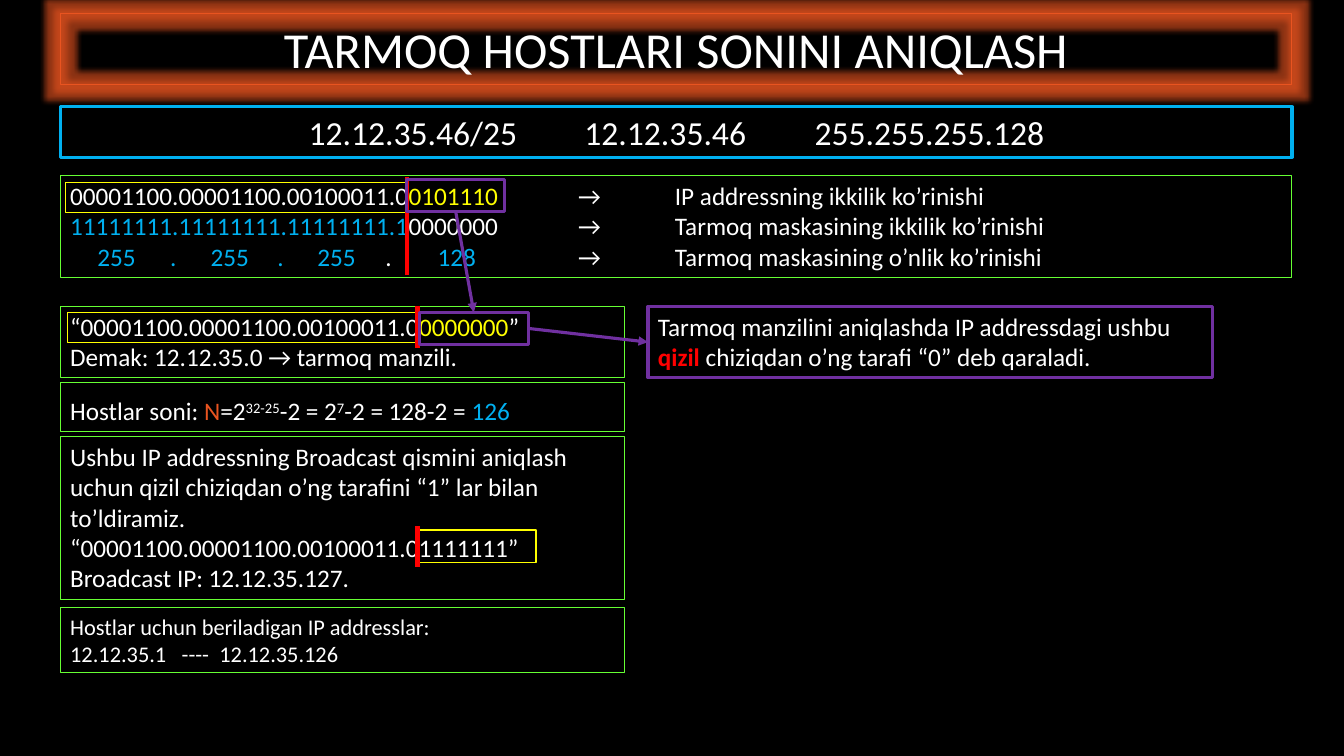
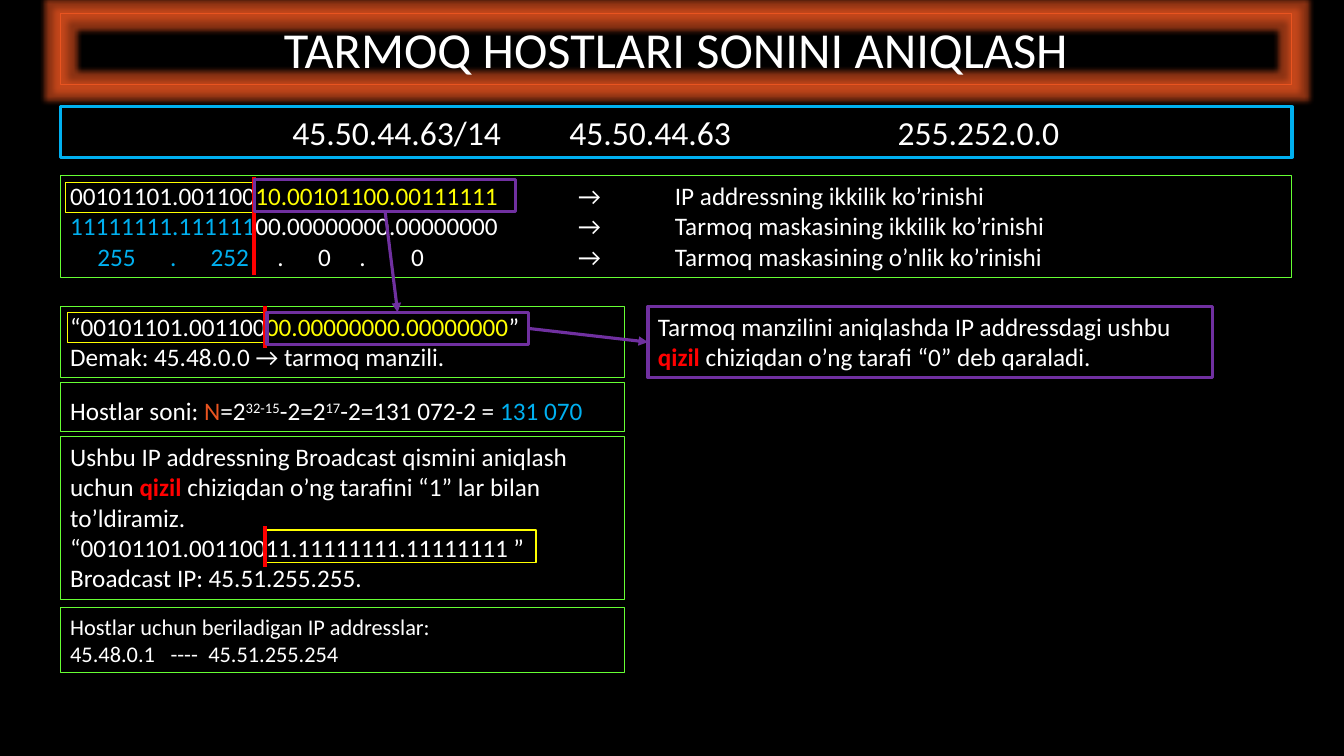
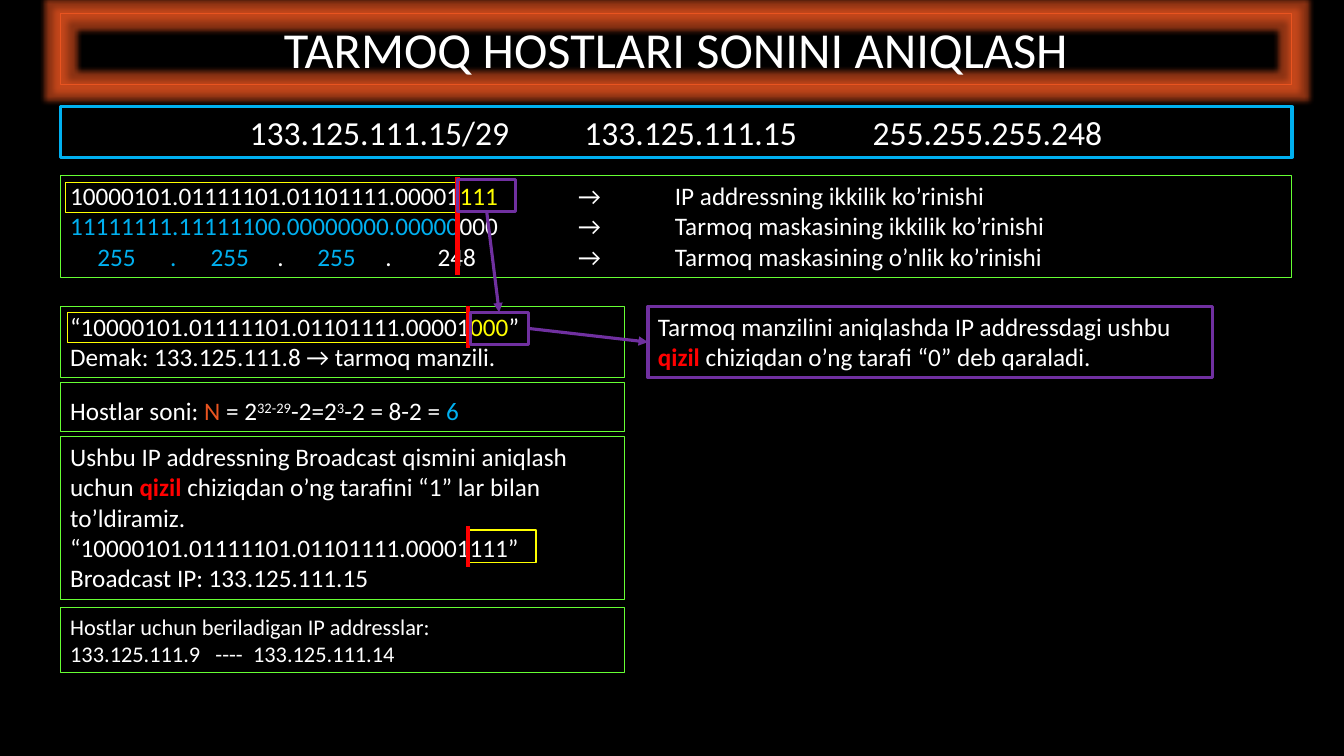
from dataclasses import dataclass

from lxml.etree import SubElement
from pptx import Presentation
from pptx.dml.color import RGBColor
from pptx.enum.shapes import MSO_CONNECTOR as Connector, MSO_SHAPE as Shape
from pptx.enum.text import MSO_AUTO_SIZE as AutoSize, PP_ALIGN as Align
from pptx.oxml.ns import qn
from pptx.util import Cm, Pt

COLORS = {
    "black": "000000",
    "white": "FFFFFF",
    "yellow": "FFFF00",
    "blue": "00B0F0",
    "orange": "E95420",
    "green": "66FF33",
    "red": "FF0000",
    "purple": "7030A0",
}
FONT = "Calibri"
LEFT, FULL_WIDTH, HALF_WIDTH = 1.52, 31.04, 14.22
INSET, DIGIT, DOT, QUOTE = 0.25, 0.32, 0.16, 0.27
ARROW_TAB, LABEL_TAB = 12.8, 15.24
TITLE = "TARMOQ HOSTLARI SONINI ANIQLASH"


@dataclass
class Example:
    """One subnet; "|" in the bits divides the network part from the host part."""
    addresses: list
    address_tabs: list
    ip_bits: str
    mask_bits: str
    mask_octets: list
    octet_tabs: list
    host_box_end: float
    network: str
    host_formula: list
    red_word: str
    broadcast_end: str
    broadcast: str
    first_host: str
    last_host: str
    range_tab: float


WIDE_OCTETS = [1.17, 2.6, 4.02, 5.3, 6.71, 8.02, 9.74]
EXAMPLES = [
    Example(
        ["12.12.35.46/25", "12.12.35.46", "255.255.255.128"], [6.01, 12.96, 18.76],
        "00001100.00001100.00100011.0|0101110",
        "11111111.11111111.11111111.1|0000000",
        [("255", "blue"), (".", "blue"), ("255", "blue"), (".", "blue"),
         ("255", "blue"), (".", "white"), ("128", "blue")],
        WIDE_OCTETS, 11.2, "12.12.35.0",
        [("N", "orange"), ("=2", "white"), ("32-25", "super"), ("-2 = 2", "white"),
         ("7", "super"), ("-2 = 128-2 = ", "white"), ("126", "blue")],
        "white", "”", "12.12.35.127.", "12.12.35.1", "12.12.35.126", 2.81),
    Example(
        ["45.50.44.63/14", "45.50.44.63", "255.252.0.0"], [5.6, 12.58, 20.85],
        "00101101.001100|10.00101100.00111111",
        "11111111.111111|00.00000000.00000000",
        [("255", "blue"), (".", "blue"), ("252", "blue"), (".", "white"),
         ("0", "white"), (".", "white"), ("0", "white")],
        [1.17, 2.6, 4.02, 5.3, 6.41, 7.37, 8.75], 11.48, "45.48.0.0",
        [("N", "orange"), ("=2", "white"), ("32-15", "super"), ("-2=2", "white"),
         ("17", "super"), ("-2=131 072-2 = ", "white"), ("131 070", "blue")],
        "red", " ”", "45.51.255.255.", "45.48.0.1", "45.51.255.254", 2.53),
    Example(
        ["133.125.111.15/29", "133.125.111.15", "255.255.255.248"], [4.52, 12.96, 20.22],
        "10000101.01111101.01101111.00001|111",
        "11111111.11111100.00000000.00000|000",
        [("255", "blue"), (".", "blue"), ("255", "blue"), (".", "white"),
         ("255", "blue"), (".", "white"), ("248", "white")],
        WIDE_OCTETS, 11.48, "133.125.111.8",
        [("N ", "orange"), ("= 2", "white"), ("32-29", "super"), ("-2=2", "white"),
         ("3", "super"), ("-2 = 8-2 = ", "white"), ("6", "blue")],
        "red", "”", "133.125.111.15", "133.125.111.9", "133.125.111.14", 3.66),
]


def rgb(name):
    return RGBColor.from_string(COLORS[name])


def set_line(shape, color, weight):
    shape.line.color.rgb = rgb(color)
    shape.line.width = Pt(weight)


def set_tabs(paragraph, stops):
    """Add tab stops, given as (position in cm, alignment) pairs."""
    tab_list = SubElement(paragraph._p.get_or_add_pPr(), qn("a:tabLst"))
    for position, alignment in stops:
        SubElement(tab_list, qn("a:tab"), pos=str(int(Cm(position))), algn=alignment)


def add_runs(paragraph, parts, size):
    """Write (text, style) parts; a style is a colour name or "super"."""
    for text, style in parts:
        run = paragraph.add_run()
        run.text = text
        run.font.name = FONT
        run.font.size = Pt(size)
        run.font.color.rgb = rgb("white" if style == "super" else style)
        if style == "super":
            run.font._element.set("baseline", "30000")
        if style == "red":
            run.font.bold = True


def add_text_panel(slide, box, color, weight, lines, size=18):
    """Add an outlined text box with one paragraph for each list of parts."""
    panel = slide.shapes.add_textbox(*map(Cm, box))
    set_line(panel, color, weight)
    frame = panel.text_frame
    frame.word_wrap = True
    frame.auto_size = AutoSize.SHAPE_TO_FIT_TEXT
    for index, parts in enumerate(lines):
        paragraph = frame.add_paragraph() if index else frame.paragraphs[0]
        add_runs(paragraph, parts, size)
    return panel


def add_frame(shapes, box, color, weight):
    frame = shapes.add_shape(Shape.RECTANGLE, *map(Cm, box))
    frame.fill.background()
    set_line(frame, color, weight)
    frame.shadow.inherit = False
    return frame


def add_line(shapes, start, end, color, weight):
    line = shapes.add_connector(Connector.STRAIGHT, *map(Cm, (*start, *end)))
    set_line(line, color, weight)
    SubElement(line._element.spPr, qn("a:effectLst"))
    return line


def add_arrow(slide, source, source_site, target, target_site):
    arrow = add_line(slide.shapes, (0, 0), (0, 0), "purple", 2.25)
    arrow.begin_connect(source, source_site)
    arrow.end_connect(target, target_site)
    SubElement(arrow.line._get_or_add_ln(), qn("a:tailEnd"), type="triangle")


def add_divider(slide, frame_box, line_x, line_top, line_bottom):
    """Group a yellow frame with the red line that divides the bits."""
    group = slide.shapes.add_group_shape()
    add_frame(group.shapes, frame_box, "yellow", 1)
    add_line(group.shapes, (line_x, line_top), (line_x, line_bottom), "red", 3)


def split_offset(bits):
    """Distance from the panel's left edge to the end of the network part."""
    prefix = bits.split("|")[0]
    dots = prefix.count(".")
    return INSET + (len(prefix) - dots) * DIGIT + dots * DOT


def add_title(slide, box):
    title = add_text_panel(slide, box, "orange", 0.75, [[(TITLE, "white")]], 36)
    title.text_frame.paragraphs[0].alignment = Align.CENTER
    effects = SubElement(title._element.spPr, qn("a:effectLst"))
    glow = SubElement(effects, qn("a:glow"), rad=str(int(Pt(8))))
    color = SubElement(glow, qn("a:srgbClr"), val=COLORS["orange"])
    SubElement(color, qn("a:alpha"), val="60000")


def add_addresses(slide, box, example):
    text = "".join("\t" + address for address in example.addresses)
    panel = add_text_panel(slide, box, "blue", 2.25, [[(text, "white")]], 24)
    set_tabs(panel.text_frame.paragraphs[0], [(stop, "l") for stop in example.address_tabs])


def add_binary_panel(slide, box, example):
    """Show address and mask in bits; return the frame round the host bits."""
    left, top = box[:2]
    ip_network, ip_host = example.ip_bits.split("|")
    mask_network, mask_host = example.mask_bits.split("|")
    rows = [
        [(ip_network, "white"), (ip_host, "yellow")],
        [(mask_network, "blue"), (mask_host, "white")],
        [("\t" + text, color) for text, color in example.mask_octets],
    ]
    labels = ["IP addressning ikkilik ko’rinishi",
              "Tarmoq maskasining ikkilik ko’rinishi",
              "Tarmoq maskasining o’nlik ko’rinishi"]
    lines = [row + [("\t→\t" + label, "white")] for row, label in zip(rows, labels)]
    panel = add_text_panel(slide, box, "green", 0.75, lines)
    label_stops = [(ARROW_TAB, "l"), (LABEL_TAB, "l")]
    octet_stops = [(stop, "ctr") for stop in example.octet_tabs]
    for paragraph, stops in zip(panel.text_frame.paragraphs, ([], [], octet_stops)):
        set_tabs(paragraph, stops + label_stops)

    split = split_offset(example.ip_bits)
    add_divider(slide, (left + 0.13, top + 0.18, split - 0.13, 0.76),
                left + split, top + 0.05, top + 2.51)
    host_box = (left + split, top + 0.1, example.host_box_end - split, 0.81)
    return add_frame(slide.shapes, host_box, "purple", 2.25)


def add_network_panel(slide, box, example):
    """Show the network address; return the frame round the zeroed bits."""
    left, top = box[:2]
    network, host = example.ip_bits.split("|")
    add_text_panel(slide, box, "green", 0.75, [
        [("“" + network, "white"), (host.replace("1", "0"), "yellow"), ("”", "white")],
        [(f"Demak: {example.network} → tarmoq manzili.", "white")],
    ])
    split = split_offset(example.ip_bits) + QUOTE
    add_divider(slide, (left + 0.18, top + 0.15, split - 0.18, 0.76),
                left + split, top, top + 1.04)
    zero_box = (left + split + 0.05, top + 0.15, 11.74 - split, 0.81)
    return add_frame(slide.shapes, zero_box, "purple", 2.25)


def add_note(slide, box):
    return add_text_panel(slide, box, "purple", 2.25, [[
        ("Tarmoq manzilini aniqlashda IP addressdagi ushbu ", "white"),
        ("qizil ", "red"),
        ("chiziqdan o’ng tarafi “0” deb qaraladi.", "white"),
    ]])


def add_host_count(slide, box, example):
    parts = [("Hostlar soni: ", "white")] + example.host_formula
    panel = add_text_panel(slide, box, "green", 0.75, [parts])
    panel.text_frame.margin_top = Cm(0.34)


def add_broadcast_panel(slide, box, example):
    left, top = box[:2]
    network, host = example.ip_bits.split("|")
    bits = network + host.replace("0", "1")
    add_text_panel(slide, box, "green", 0.75, [
        [("Ushbu IP addressning Broadcast qismini aniqlash uchun ", "white"),
         ("qizil ", example.red_word),
         ("chiziqdan o’ng tarafini “1” lar bilan to’ldiramiz.", "white")],
        [(f"“{bits}{example.broadcast_end}", "white")],
        [(f"Broadcast IP: {example.broadcast}", "white")],
    ])
    split = split_offset(example.ip_bits) + QUOTE
    add_divider(slide, (left + split, top + 2.36, 11.99 - split, 0.81),
                left + split, top + 2.26, top + 3.28)


def add_host_range(slide, box, example):
    panel = add_text_panel(slide, box, "green", 0.75, [
        [("Hostlar uchun beriladigan IP addresslar:", "white")],
        [(f"{example.first_host}\t----\t{example.last_host}", "white")],
    ], 16)
    stops = [(example.range_tab, "l"), (example.range_tab + 0.95, "l")]
    set_tabs(panel.text_frame.paragraphs[1], stops)


def add_example_slide(presentation, example):
    slide = presentation.slides.add_slide(presentation.slide_layouts[6])
    add_title(slide, (LEFT, 0.33, FULL_WIDTH, 1.8))
    add_addresses(slide, (LEFT, 2.69, FULL_WIDTH, 1.27), example)
    add_broadcast_panel(slide, (LEFT, 11, HALF_WIDTH, 4.11), example)
    add_host_count(slide, (LEFT, 9.63, HALF_WIDTH, 1.24), example)
    add_host_range(slide, (LEFT, 15.32, HALF_WIDTH, 1.63), example)
    host_frame = add_binary_panel(slide, (LEFT, 4.42, FULL_WIDTH, 2.57), example)
    zero_frame = add_network_panel(slide, (LEFT, 7.72, HALF_WIDTH, 1.8), example)
    note = add_note(slide, (16.33, 7.72, HALF_WIDTH, 1.8))
    top_site, left_site, bottom_site, right_site = range(4)
    add_arrow(slide, host_frame, bottom_site, zero_frame, top_site)
    add_arrow(slide, zero_frame, right_site, note, left_site)


def main():
    presentation = Presentation()
    presentation.slide_width, presentation.slide_height = Cm(33.87), Cm(19.05)
    background = presentation.slide_master.background.fill
    background.solid()
    background.fore_color.rgb = rgb("black")
    for example in EXAMPLES:
        add_example_slide(presentation, example)
    presentation.save("out.pptx")


if __name__ == "__main__":
    main()
